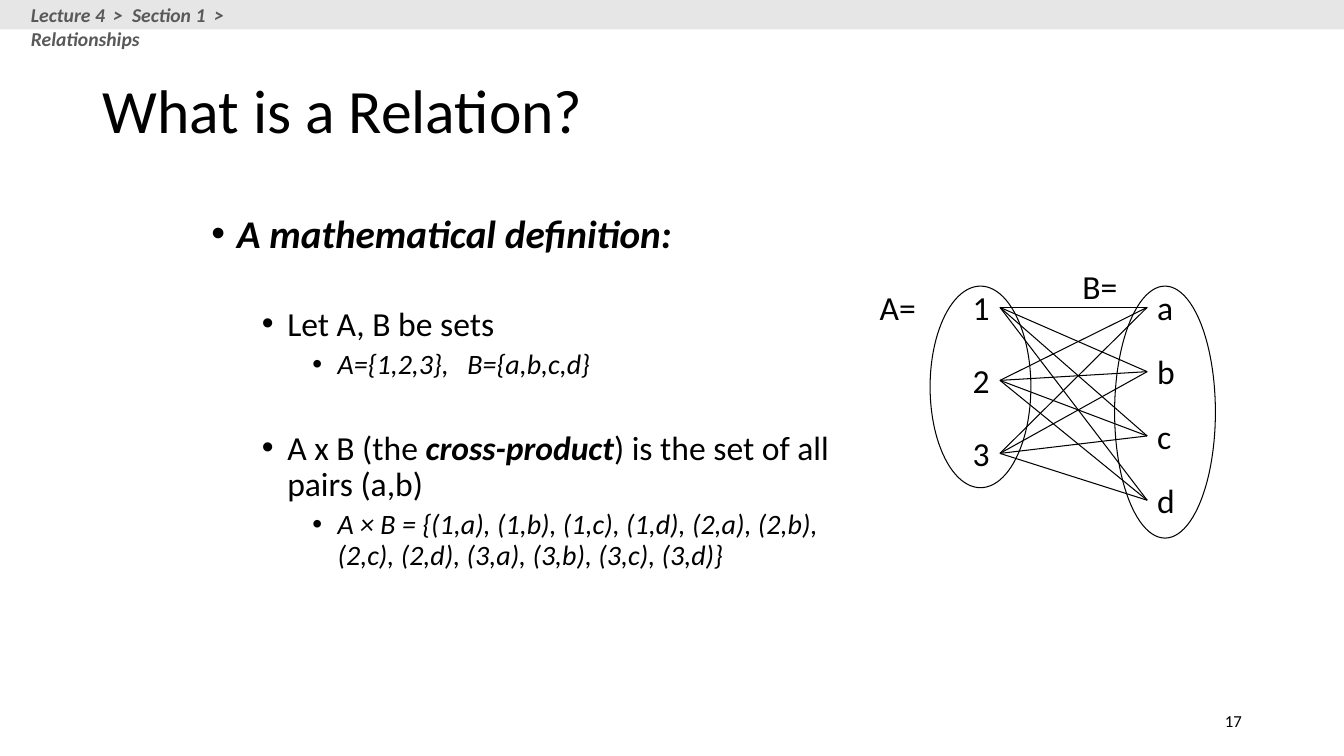
from itertools import product

from lxml.etree import SubElement
from pptx import Presentation
from pptx.dml.color import RGBColor
from pptx.enum.shapes import MSO_CONNECTOR, MSO_SHAPE
from pptx.enum.text import MSO_ANCHOR, MSO_AUTO_SIZE, PP_ALIGN
from pptx.oxml.ns import qn
from pptx.util import Cm, Pt

SLIDE_WIDTH, SLIDE_HEIGHT = 33.87, 19.05
RIGHT_SIDE, LEFT_SIDE = 3, 1


def color(hex_code):
    return RGBColor.from_string(hex_code)


class SlideBuilder:
    font = "Calibri"
    ink = "000000"
    line_width = Pt(0.75)

    def __init__(self, slide):
        self.slide = slide

    def style_font(self, font, size, hex_code=None, bold=False, italic=False):
        font.name, font.size = self.font, Pt(size)
        font.bold, font.italic = bold, italic
        font.color.rgb = color(hex_code or self.ink)

    def text(self, left, top, width, height, words, size, hex_code=None,
             bold=False, italic=False, align=PP_ALIGN.LEFT,
             anchor=MSO_ANCHOR.TOP, spacing=1.0, tabs=()):
        box = self.slide.shapes.add_textbox(Cm(left), Cm(top), Cm(width), Cm(height))
        frame = box.text_frame
        frame.word_wrap, frame.vertical_anchor = True, anchor
        frame.text = words
        paragraph = frame.paragraphs[0]
        self.add_tabs(paragraph, tabs)
        paragraph.alignment, paragraph.line_spacing = align, spacing
        for run in paragraph.runs:
            self.style_font(run.font, size, hex_code, bold, italic)
        return box

    def label(self, left, top, width, words):
        box = self.text(left, top, width, 1.27, words, 24)
        box.text_frame.word_wrap = False
        box.text_frame.auto_size = MSO_AUTO_SIZE.SHAPE_TO_FIT_TEXT
        return box

    def add_tabs(self, paragraph, stops):
        if stops:
            tab_list = SubElement(paragraph._p.get_or_add_pPr(), qn("a:tabLst"))
            for stop in stops:
                SubElement(tab_list, qn("a:tab"), pos=str(Cm(stop)), algn="l")

    def bullets(self, left, top, width, height, items):
        box = self.slide.shapes.add_textbox(Cm(left), Cm(top), Cm(width), Cm(height))
        frame = box.text_frame
        frame.word_wrap = True
        for index, (level, size, before, tabs, parts) in enumerate(items):
            paragraph = frame.add_paragraph() if index else frame.paragraphs[0]
            paragraph.level = level
            properties = paragraph._p.get_or_add_pPr()
            properties.set("marL", str(Cm(0.64 + 1.27 * level)))
            properties.set("indent", str(Cm(-0.64)))
            SubElement(properties, qn("a:buFont"), typeface="Arial")
            SubElement(properties, qn("a:buChar"), char="•")
            self.add_tabs(paragraph, tabs)
            paragraph.line_spacing, paragraph.space_before = 0.9, Pt(before)
            for words, bold, italic in parts:
                run = paragraph.add_run()
                run.text = words
                self.style_font(run.font, size, bold=bold, italic=italic)

    def shape(self, kind, left, top, width, height, fill=None):
        shape = self.slide.shapes.add_shape(kind, Cm(left), Cm(top), Cm(width), Cm(height))
        shape.shadow.inherit = False
        if fill:
            shape.fill.solid()
            shape.fill.fore_color.rgb = color(fill)
            shape.line.fill.background()
        else:
            shape.fill.background()
            shape.line.color.rgb = color(self.ink)
            shape.line.width = self.line_width

    def join(self, start, end):
        line = self.slide.shapes.add_connector(MSO_CONNECTOR.STRAIGHT, 0, 0, 0, 0)
        line.begin_connect(start, RIGHT_SIDE)
        line.end_connect(end, LEFT_SIDE)
        line.line.color.rgb = color(self.ink)
        line.line.width = self.line_width
        SubElement(line._element.spPr, qn("a:effectLst"))


def main():
    deck = Presentation()
    deck.slide_width, deck.slide_height = Cm(SLIDE_WIDTH), Cm(SLIDE_HEIGHT)
    page = SlideBuilder(deck.slides.add_slide(deck.slide_layouts[6]))

    # Header strip
    page.shape(MSO_SHAPE.RECTANGLE, 0, 0, SLIDE_WIDTH, 0.74, fill="E7E6E6")
    page.text(0.53, -0.05, 7.7, 0.86, "Lecture 4\t>\tSection 1\t> Relationships", 14,
              "595959", bold=True, italic=True, tabs=(2.07, 2.55, 4.62))

    # Title and page number
    page.text(2.34, 1.02, 29.21, 3.68, "What is a Relation?", 44,
              anchor=MSO_ANCHOR.MIDDLE, spacing=0.9)
    page.text(23.93, 17.65, 7.62, 1.02, "17", 12,
              align=PP_ALIGN.RIGHT, anchor=MSO_ANCHOR.MIDDLE)

    # Definition: level, size, space before, tab stops, (words, bold, italic)
    page.bullets(5.08, 5.28, 16.54, 11.43, [
        (0, 28, 0, (), [("A mathematical definition:", True, True)]),
        (1, 24, 36, (), [("Let A, B be sets", False, False)]),
        (2, 20, 5, (6.45,), [("A={1,2,3},\tB={a,b,c,d}", False, True)]),
        (1, 24, 36, (), [("A x B (the ", False, False),
                         ("cross-product", True, True),
                         (") is the set of all pairs (a,b)", False, False)]),
        (2, 20, 5, (), [("A × B = {(1,a), (1,b), (1,c), (1,d), (2,a), (2,b), "
                         "(2,c), (2,d), (3,a), (3,b), (3,c), (3,d)}", False, True)]),
    ])

    # Sets A and B
    set_top = 7.11
    numbers = [page.label(24.26, set_top + 1.84 * row, 0.94, name)
               for row, name in enumerate("123")]
    letters = [page.label(28.91, set_top + 1.62 * row, 0.94, name)
               for row, name in enumerate("abcd")]
    page.shape(MSO_SHAPE.OVAL, 23.44, 7.21, 2.54, 5.08)
    page.shape(MSO_SHAPE.OVAL, 28.09, 7.21, 2.54, 6.35)
    page.label(21.92, set_top, 1.6, "A=")
    page.label(27.03, 6.58, 1.55, "B=")

    # Every pair of the cross-product
    for number, letter in product(numbers, letters):
        page.join(number, letter)

    deck.save("out.pptx")


if __name__ == "__main__":
    main()
